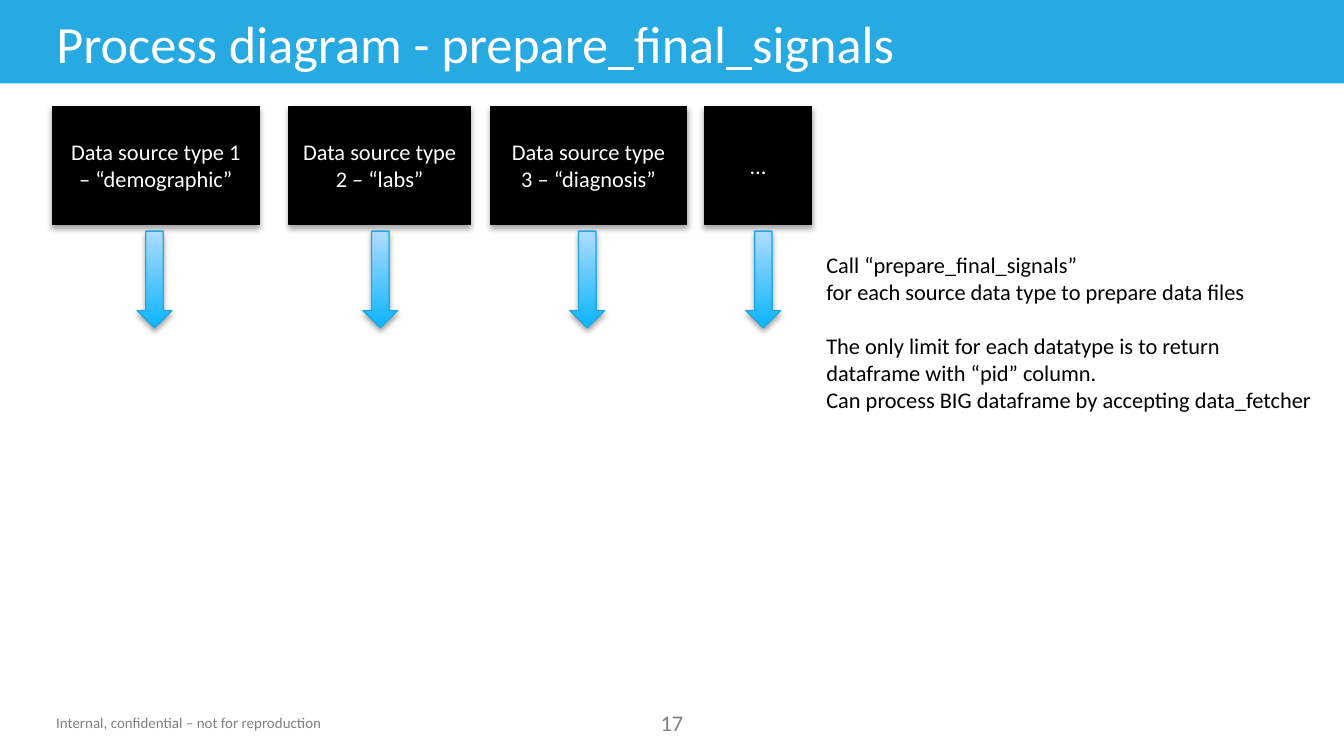
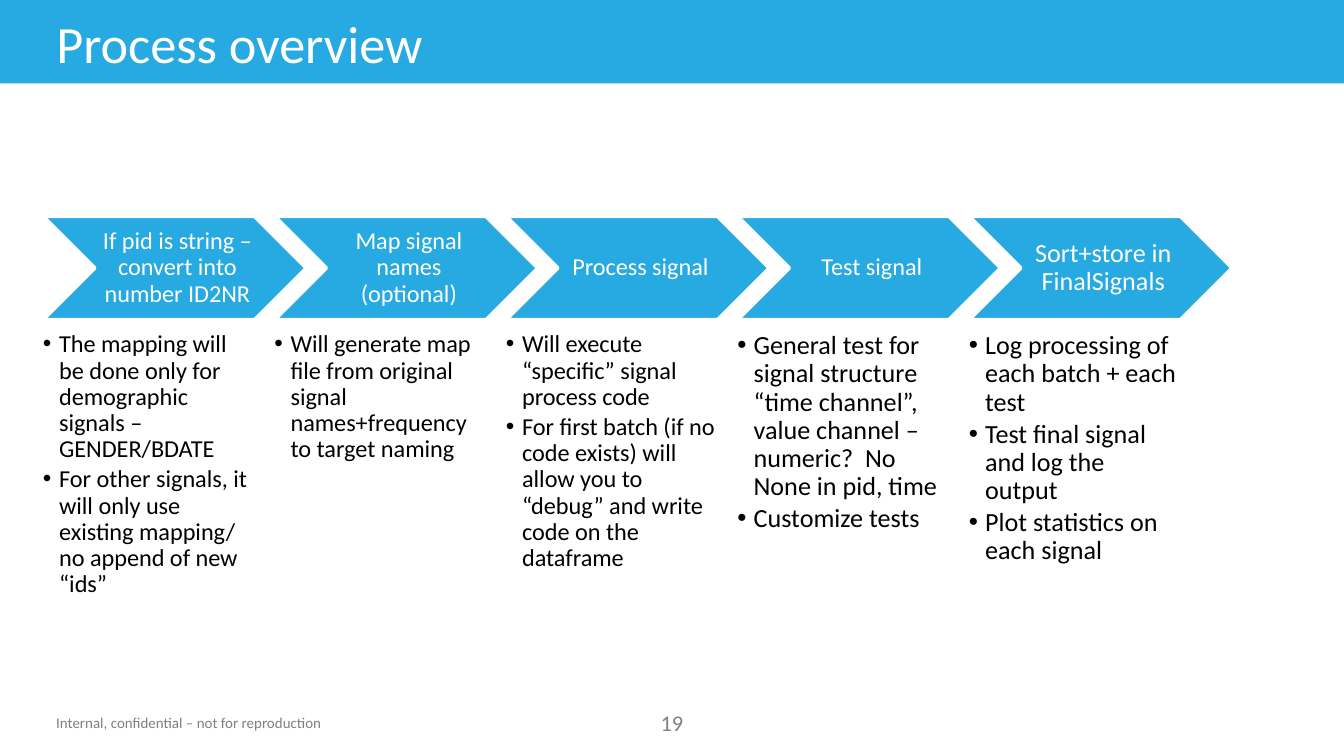
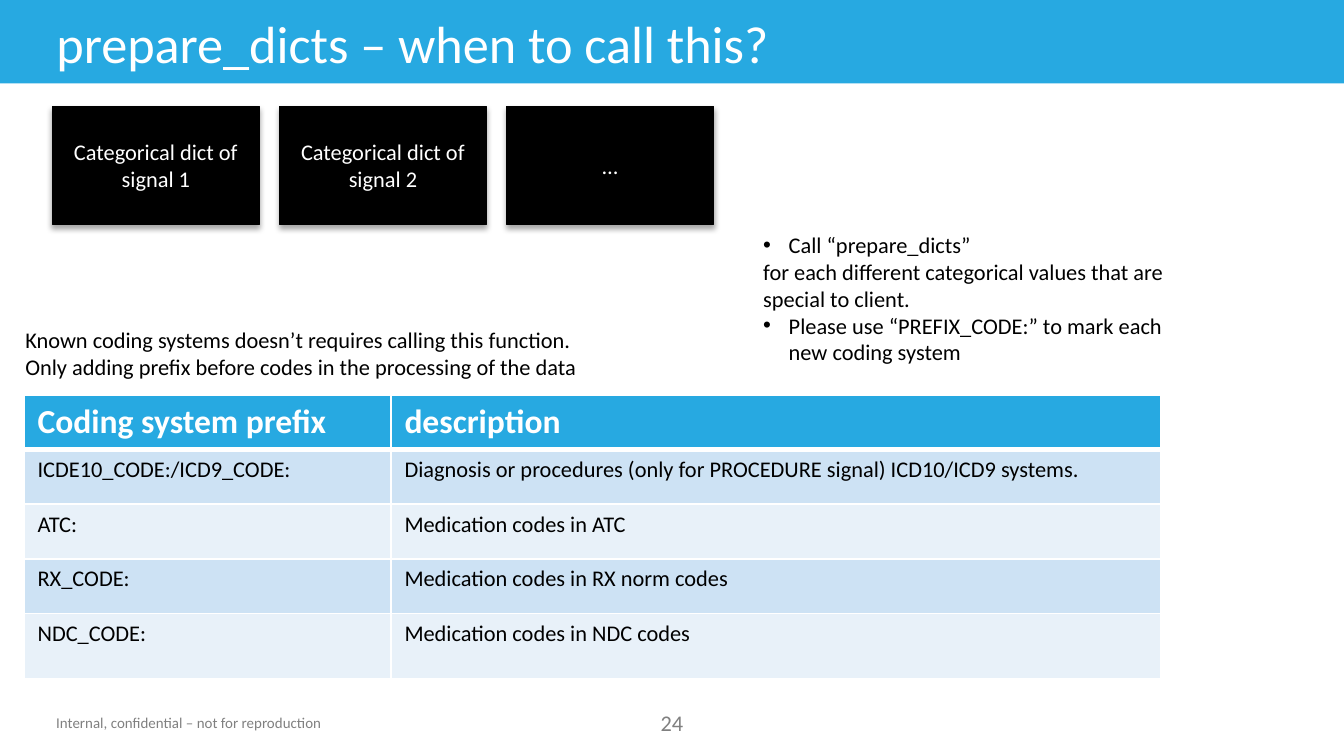
from lxml.etree import SubElement
from pptx import Presentation
from pptx.dml.color import RGBColor
from pptx.enum.shapes import MSO_SHAPE as SHAPE
from pptx.enum.text import MSO_ANCHOR as ANCHOR, MSO_AUTO_SIZE as AUTO_SIZE, PP_ALIGN as ALIGN
from pptx.oxml.ns import qn
from pptx.util import Inches, Pt

FONT = "Calibri"
BLUE, BLACK, WHITE, GRAY = "27A9E1", "000000", "FFFFFF", "808080"
ARROW_EDGE, ARROW_DARK, ARROW_LIGHT = "22A7E1", "0BB4FD", "AFDBFF"
ROW_FILLS = ("CDE2F4", "E8F1F9")
BOX_TOP, BOX_HEIGHT = 0.79, 0.88


def color(hex_code):
    return RGBColor.from_string(hex_code)


def box(left, top, width, height):
    return [Inches(length) for length in (left, top, width, height)]


def write(frame, lines, size, hex_code, align=ALIGN.LEFT, bold=False):
    for index, line in enumerate(lines):
        paragraph = frame.paragraphs[0] if index == 0 else frame.add_paragraph()
        paragraph.text = line
        paragraph.alignment = align
        font = paragraph.font
        font.name, font.size, font.bold = FONT, Pt(size), bold
        font.color.rgb = color(hex_code)
    return frame.paragraphs


def add_text(slide, area, lines, size=12, hex_code=BLACK, align=ALIGN.LEFT, wrap=True):
    note = slide.shapes.add_textbox(*box(*area))
    note.text_frame.word_wrap = wrap
    note.text_frame.auto_size = AUTO_SIZE.SHAPE_TO_FIT_TEXT
    write(note.text_frame, lines, size, hex_code, align)
    return note


def set_insets(frame, left, top, right, bottom):
    frame.margin_left, frame.margin_top, frame.margin_right, frame.margin_bottom = box(
        left, top, right, bottom)


def add_bullet(paragraph, indent):
    properties = paragraph._p.get_or_add_pPr()
    properties.set("marL", str(Inches(indent)))
    properties.set("indent", str(-Inches(indent)))
    SubElement(properties, qn("a:buFont"), typeface="Arial")
    SubElement(properties, qn("a:buChar"), char="•")


def add_solid(slide, kind, area, fill, line=None, weight=0.75):
    solid = slide.shapes.add_shape(kind, *box(*area))
    solid.shadow.inherit = False
    solid.fill.solid()
    solid.fill.fore_color.rgb = color(fill)
    if line:
        solid.line.color.rgb = color(line)
        solid.line.width = Pt(weight)
    else:
        solid.line.fill.background()
    return solid


def cast_shadow(shape):
    effects = shape._element.spPr.find(qn("a:effectLst"))
    shadow = SubElement(effects, qn("a:outerShdw"), blurRad=str(Pt(3.1)), dist=str(Pt(1.8)),
                        dir="5400000", rotWithShape="0")
    tone = SubElement(shadow, qn("a:srgbClr"), val=BLACK)
    SubElement(tone, qn("a:alpha"), val="35000")


def add_source_box(slide, label, left, width):
    source = add_solid(slide, SHAPE.RECTANGLE, (left, BOX_TOP, width, BOX_HEIGHT), BLACK, BLACK)
    cast_shadow(source)
    source.text_frame.word_wrap = True
    source.text_frame.vertical_anchor = ANCHOR.MIDDLE
    write(source.text_frame, [label], 12, WHITE, ALIGN.CENTER)


def add_down_arrow(slide, left):
    area = (left, BOX_TOP + BOX_HEIGHT + 0.05, 0.26, 0.72)
    arrow = add_solid(slide, SHAPE.DOWN_ARROW, area, ARROW_DARK, ARROW_EDGE)
    arrow.fill.gradient()
    arrow.fill.gradient_angle = 90
    for stop, tone in zip(arrow.fill.gradient_stops, (ARROW_DARK, ARROW_LIGHT)):
        stop.color.rgb = color(tone)
    cast_shadow(arrow)


def furnish_master(prs, slide):
    band = add_solid(slide, SHAPE.RECTANGLE, (0, 0, 10, 0.62), BLUE)
    footer = add_text(slide, (0.32, 5.26, 2.2, 0.24),
                      ["Internal, confidential – not for reproduction"], 8, GRAY, wrap=False)
    for number, part in enumerate((band, footer), start=20):
        part._element.nvSpPr.cNvPr.set("id", str(number))
        prs.slide_master.shapes._spTree.append(part._element)


def add_slide(prs, heading, page):
    slide = prs.slides.add_slide(prs.slide_layouts[5])
    title = slide.shapes.title
    title.left, title.top, title.width, title.height = box(0.32, 0.03, 8.33, 0.57)
    title.text_frame.vertical_anchor = ANCHOR.MIDDLE
    title.text_frame.auto_size = AUTO_SIZE.NONE
    write(title.text_frame, [heading], 28, WHITE)
    add_text(slide, (4.7, 5.23, 0.6, 0.3), [page], 12, GRAY, ALIGN.CENTER)
    return slide


def build_final_signals(slide):
    sources = [
        ("Data source type 1 – “demographic”", 0.39, 1.54, 1.02),
        ("Data source type 2 – “labs”", 2.15, 1.35, 2.7),
        ("Data source type 3 – “diagnosis”", 3.65, 1.46, 4.24),
        ("…", 5.24, 0.8, 5.55),
    ]
    for label, left, width, arrow_left in sources:
        add_source_box(slide, label, left, width)
        add_down_arrow(slide, arrow_left)
    guidance = add_text(slide, (6.05, 1.82, 3.82, 1.31), [
        "Call “prepare_final_signals”",
        "for each source data type to prepare data files",
        "The only limit for each datatype is to return dataframe with “pid” column.",
        "Can process BIG dataframe by accepting data_fetcher",
    ])
    guidance.text_frame.paragraphs[2].space_before = Pt(14.6)


def add_step(slide, left, top, name, details, name_size, detail_size):
    chevron = add_solid(slide, SHAPE.CHEVRON, (left, top, 1.96, 0.77), BLUE, WHITE, 2)
    frame = chevron.text_frame
    frame.word_wrap = True
    frame.vertical_anchor = ANCHOR.MIDDLE
    set_insets(frame, 0.06, 0.02, 0.02, 0.02)
    write(frame, [name], name_size, WHITE, ALIGN.CENTER)[0].line_spacing = 0.9

    notes = slide.shapes.add_textbox(*box(left, top + 0.86, 1.57, 2.05)).text_frame
    notes.word_wrap = True
    set_insets(notes, 0, 0, 0, 0)
    for paragraph in write(notes, details, detail_size, BLACK):
        paragraph.level = 1
        paragraph.line_spacing = 0.9
        paragraph.space_after = Pt(2)
        add_bullet(paragraph, 0.12)


def build_overview(slide):
    steps = [
        ("If pid is string – convert into number ID2NR", 13, 13, [
            "The mapping will be done only for demographic signals – GENDER/BDATE",
            "For other signals, it will only use existing mapping/ no append of new “ids”"]),
        ("Map signal names (optional)", 13, 13, [
            "Will generate map file from original signal names+frequency to target naming"]),
        ("Process signal", 13, 13, [
            "Will execute “specific” signal process code",
            "For first batch (if no code exists) will allow you to “debug” and write code "
            "on the dataframe"]),
        ("Test signal", 13, 14, [
            "General test for signal structure “time channel”, value channel – numeric?  "
            "No None in pid, time",
            "Customize tests"]),
        ("Sort+store in FinalSignals", 14, 14, [
            "Log processing of each batch + each test",
            "Test final signal and log the output",
            "Plot statistics on each signal"]),
    ]
    first, last = 0.32, 7.21
    pitch = (last - first) / (len(steps) - 1)
    for index, (name, name_size, detail_size, details) in enumerate(steps):
        add_step(slide, first + pitch * index, 1.61, name, details, name_size, detail_size)


def set_borders(cell, widths):
    properties = cell._tc.get_or_add_tcPr()
    for side, width in widths.items():
        line = SubElement(properties, qn("a:ln" + side), w=str(Pt(width)))
        SubElement(SubElement(line, qn("a:solidFill")), qn("a:srgbClr"), val=WHITE)


def add_coding_table(slide, left, top):
    rows = [
        ("Coding system prefix", "description"),
        ("ICDE10_CODE:/ICD9_CODE:",
         "Diagnosis or procedures (only for PROCEDURE signal) ICD10/ICD9 systems."),
        ("ATC:", "Medication codes in ATC"),
        ("RX_CODE:", "Medication codes in RX norm codes"),
        ("NDC_CODE:", "Medication codes in NDC codes"),
    ]
    table = slide.shapes.add_table(len(rows), 2, *box(left, top, 8.46, 2.03)).table
    for column, width in zip(table.columns, (2.73, 5.73)):
        column.width = Inches(width)
    table.rows[len(rows) - 1].height = Inches(0.49)
    for r, entries in enumerate(rows):
        header = r == 0
        for c, entry in enumerate(entries):
            cell = table.cell(r, c)
            set_borders(cell, {"L": 1, "R": 1, "T": 3 if r == 1 else 1, "B": 3 if header else 1})
            cell.fill.solid()
            cell.fill.fore_color.rgb = color(BLUE if header else ROW_FILLS[(r - 1) % 2])
            write(cell.text_frame, [entry], 18 if header else 12,
                  WHITE if header else BLACK, bold=header)


def build_dicts(slide):
    labels = ("Categorical dict of signal 1", "Categorical dict of signal 2", "…")
    for index, label in enumerate(labels):
        add_source_box(slide, label, 0.39 + 1.69 * index, 1.54)
    usage = add_text(slide, (5.58, 1.67, 3.42, 1.11), [
        "Call “prepare_dicts”",
        "for each different categorical values that are special to client.",
        "Please use “PREFIX_CODE:” to mark each new coding system",
    ])
    for paragraph in usage.text_frame.paragraphs[::2]:
        add_bullet(paragraph, 0.19)
    add_text(slide, (0.09, 2.38, 5, 0.5), [
        "Known coding systems doesn’t requires calling this function.",
        "Only adding prefix before codes in the processing of the data",
    ])
    add_coding_table(slide, 0.18, 2.94)


def main():
    prs = Presentation()
    prs.slide_width = Inches(10)
    prs.slide_height = prs.slide_width * 9 // 16
    pages = [
        ("Process diagram - prepare_final_signals", "17", build_final_signals),
        ("Process overview", "19", build_overview),
        ("prepare_dicts – when to call this?", "24", build_dicts),
    ]
    for heading, page, build in pages:
        build(add_slide(prs, heading, page))
    furnish_master(prs, prs.slides[0])
    prs.save("out.pptx")


if __name__ == "__main__":
    main()
